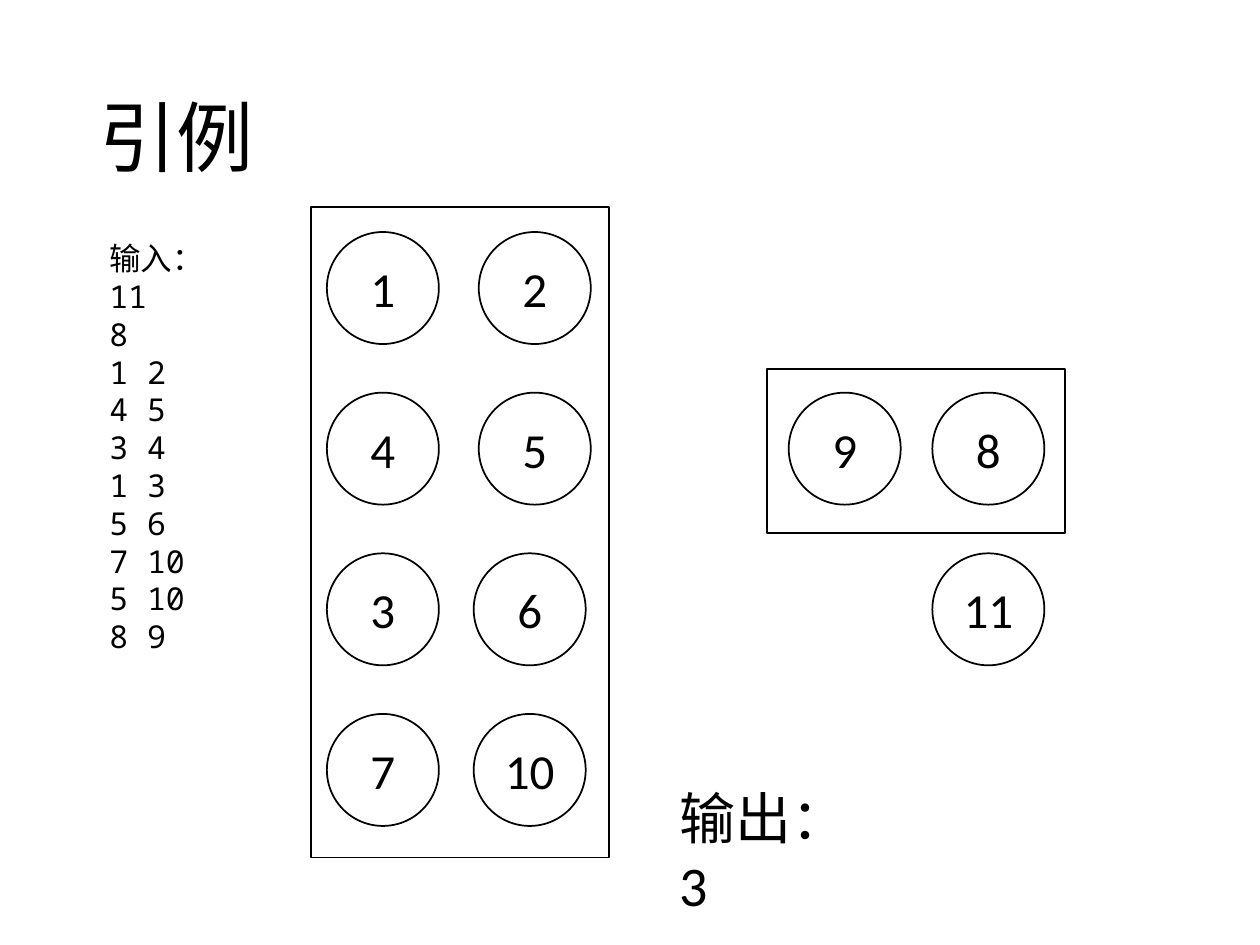
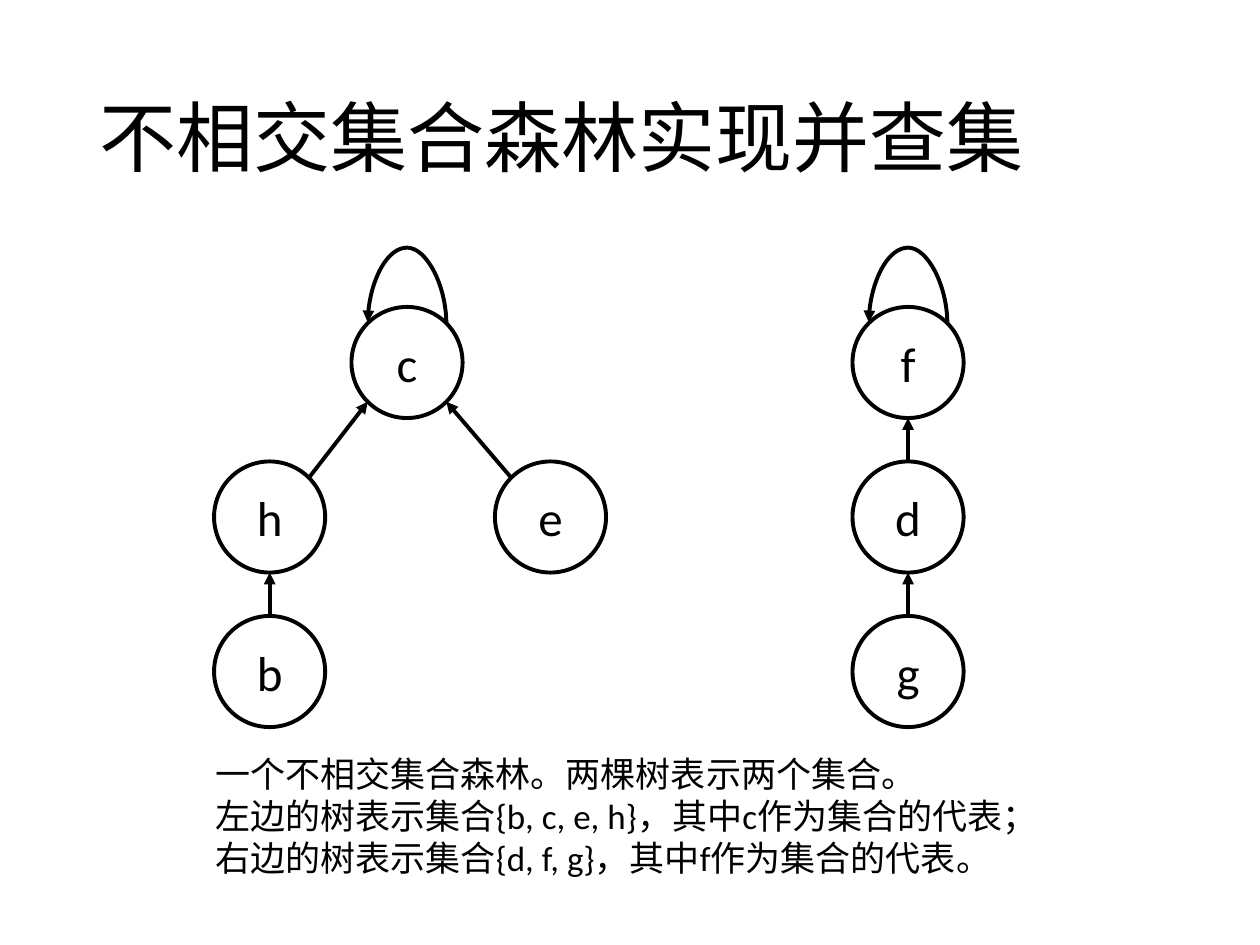
from dataclasses import dataclass
from math import sqrt

from pptx import Presentation
from pptx.dml.color import RGBColor
from pptx.enum.shapes import MSO_CONNECTOR as CONN, MSO_SHAPE as SHAPE
from pptx.enum.text import MSO_ANCHOR as ANCHOR, MSO_AUTO_SIZE as FIT, PP_ALIGN as ALIGN
from pptx.oxml.ns import qn
from pptx.oxml.xmlchemy import OxmlElement
from pptx.util import Pt


@dataclass(frozen=True)
class Theme:
    """Colours, fonts, type sizes and line widths."""
    ink: RGBColor = RGBColor(0, 0, 0)
    paper: RGBColor = RGBColor(255, 255, 255)
    font: str = "Calibri"
    mono: str = "Noto Sans Mono"
    title: int = 44
    output: int = 32
    node: int = 28
    caption: int = 20
    listing: int = 18
    thin: float = 1
    thick: float = 2.25


def write(p, text, theme, size, font=None, align=None, spacing=None):
    """Add text to a paragraph in the given format."""
    r = p.add_run()
    r.text = text
    r.font.size = Pt(size)
    r.font.name = font or theme.font
    r.font.color.rgb = theme.ink
    if align is not None:
        p.alignment = align
    if spacing is not None:
        p.line_spacing = spacing


class Deck:
    """Hold the theme and the current slide, and draw on it."""

    def __init__(self, prs, theme):
        """Start with no slide."""
        self.prs, self.theme, self.s = prs, theme, None

    def slide(self, title):
        """Add a blank slide with a title."""
        self.s = self.prs.slides.add_slide(self.prs.slide_layouts[6])
        tf = self.box(49.7, 28.8, 620.6, 104.4)
        tf.vertical_anchor = ANCHOR.MIDDLE
        write(tf.paragraphs[0], title, self.theme, self.theme.title, spacing=0.9)

    def box(self, x, y, w, h, wrap=True, fit=FIT.NONE):
        """Add an empty text box and return its text frame."""
        tf = self.s.shapes.add_textbox(Pt(x), Pt(y), Pt(w), Pt(h)).text_frame
        tf.word_wrap, tf.auto_size = wrap, fit
        return tf

    def lines(self, area, texts, size, wrap=True, **rest):
        """Add a text box with a paragraph per text; rest formats all but the first."""
        tf = self.box(*area, wrap=wrap, fit=FIT.SHAPE_TO_FIT_TEXT)
        for i, text in enumerate(texts):
            p = tf.add_paragraph() if i else tf.paragraphs[0]
            write(p, text, self.theme, size, **(rest if i else {}))

    def shape(self, kind, x, y, w, h, width):
        """Add an outlined shape without fill."""
        sp = self.s.shapes.add_shape(kind, Pt(x), Pt(y), Pt(w), Pt(h))
        sp.shadow.inherit = False
        sp.fill.background()
        sp.line.color.rgb = self.theme.ink
        sp.line.width = Pt(width)
        return sp

    def frame(self, x, y, w, h):
        """Add a rectangle around a set."""
        self.shape(SHAPE.RECTANGLE, x, y, w, h, self.theme.thin)

    def node(self, text, x, y, d, width):
        """Add a labelled circle."""
        sp = self.shape(SHAPE.OVAL, x, y, d, d, width)
        sp.fill.solid()
        sp.fill.fore_color.rgb = self.theme.paper
        tf = sp.text_frame
        tf.margin_left = tf.margin_right = 0
        tf.vertical_anchor = ANCHOR.MIDDLE
        write(tf.paragraphs[0], text, self.theme, self.theme.node, align=ALIGN.CENTER)

    def arrow(self, start, end, kind=CONN.STRAIGHT):
        """Add a connector with an arrowhead at its end."""
        cx = self.s.shapes.add_connector(kind, *map(Pt, (*start, *end)))
        cx.line.color.rgb = self.theme.ink
        cx.line.width = Pt(self.theme.thick)
        tail = OxmlElement("a:tailEnd")
        tail.set("type", "triangle")
        cx.line._get_or_add_ln().append(tail)
        cx._element.spPr.append(OxmlElement("a:effectLst"))
        return cx

    def loop(self, x, y, span, rise):
        """Add a curved arrow that leaves on the right and returns on the left."""
        cx = self.arrow((x - 0.5, y + span / 2), (x + 0.5, y - span / 2), CONN.CURVE)
        spPr = cx._element.spPr
        spPr.find(qn("a:xfrm")).set("rot", str(270 * 60000))
        gd = OxmlElement("a:gd")
        gd.set("name", "adj1")
        gd.set("fmla", f"val {rise * 100000}")
        spPr.find(qn("a:prstGeom")).get_or_add_avLst().append(gd)


def example_slide(deck):
    """Show the input pairs, the resulting sets and their number."""
    t = deck.theme
    deck.slide("引例")
    pairs = ["1 2", "4 5", "3 4", "1 3", "5 6", "7 10", "5 10", "8 9"]
    deck.lines((55.4, 133.2, 86.4, 247), ["输入：", "11", "8", *pairs], t.listing,
               font=t.mono, spacing=Pt(21.6))
    left, upper, lower, nine, eight = 186.8, 273.6, 270.7, 450.7, 532.8
    places = [(left, 0), (upper, 0), (left, 2), (left, 1), (upper, 1), (lower, 2),
              (left, 3), (eight, 1), (nine, 1), (lower, 3), (eight, 2)]
    for number, (x, row) in enumerate(places, 1):
        deck.node(str(number), x, 132.6 + 91.8 * row, 64, t.thin)
    deck.frame(177.8, 118.3, 170.4, 371.8)
    deck.frame(438.3, 210.9, 170.4, 93.6)
    deck.lines((381, 444.2, 122, 46), ["输出：3"], t.output)


def forest_slide(deck):
    """Draw two trees whose nodes point to their parents."""
    t = deck.theme
    deck.slide("不相交集合森林实现并查集")
    d, top, step = 63.5, 175.4, 88.3
    rad, diagonal = d / 2, sqrt(0.5)
    places = {"c": (232.6, 0), "h": (154.1, 1), "e": (314.6, 1), "b": (154.1, 2),
              "f": (518.9, 0), "d": (518.9, 1), "g": (518.9, 2)}
    centres = {k: (x, top + rad + step * row) for k, (x, row) in places.items()}
    for name, (x, y) in centres.items():
        deck.node(name, x - rad, y - rad, d, t.thick)
    for child, parent in ("hc", "ec", "bh", "df", "gd"):
        (x1, y1), (x2, y2) = centres[child], centres[parent]
        side = (x2 > x1) - (x2 < x1)
        dx = side * rad * diagonal
        dy = rad * diagonal if side else rad
        deck.arrow((x1 + dx, y1 - dy), (x2 - dx, y2 + dy))
    for root in "cf":
        x, y = centres[root]
        deck.loop(x, y - rad * diagonal, d * diagonal, 44)
    deck.lines((115.9, 426.2, 488.2, 80),
               ["一个不相交集合森林。两棵树表示两个集合。",
                "左边的树表示集合{b, c, e, h}，其中c作为集合的代表；",
                "右边的树表示集合{d, f, g}，其中f作为集合的代表。"],
               t.caption, wrap=False)


def main():
    """Build and save both slides."""
    prs = Presentation()
    prs.slide_width, prs.slide_height = Pt(720), Pt(540)
    deck = Deck(prs, Theme())
    example_slide(deck)
    forest_slide(deck)
    prs.save("out.pptx")


if __name__ == "__main__":
    main()
